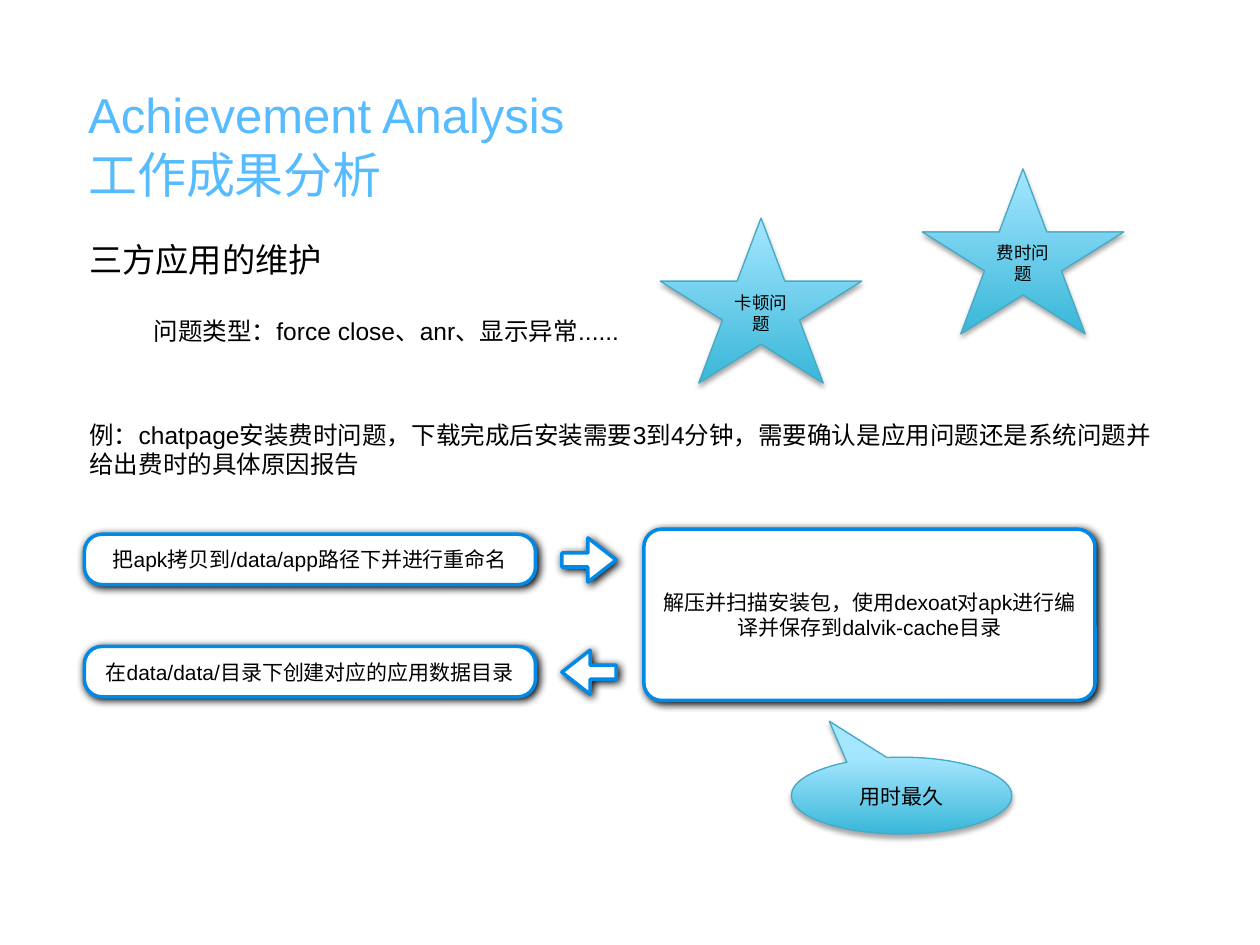
from lxml.etree import SubElement
from pptx import Presentation
from pptx.dml.color import RGBColor
from pptx.enum.shapes import MSO_SHAPE
from pptx.enum.text import MSO_ANCHOR, PP_ALIGN
from pptx.oxml.ns import qn
from pptx.util import Pt

COLORS = {"title": "57BBFF", "text": "000000", "edge": "0089E6", "fill": "FFFFFF",
          "dark": "39B7D8", "light": "A5E6FF", "rim": "46AAC4", "shade": "000000"}


def color(name):
    return RGBColor.from_string(COLORS[name])


def write(shape, text, size=12, tint="text", fonts=("Arial",), align=PP_ALIGN.LEFT,
          anchor=MSO_ANCHOR.TOP, wrap=True, lead=None):
    """Fill a shape with text, one paragraph per line; fonts go by paragraph."""
    frame = shape.text_frame
    frame.text = text
    frame.word_wrap = wrap
    frame.vertical_anchor = anchor
    frame.margin_left = frame.margin_right = Pt(3.6)
    frame.margin_top = frame.margin_bottom = Pt(3.6)
    for para, font in zip(frame.paragraphs, fonts):
        para.alignment = align
        if lead:
            para.line_spacing = Pt(lead)
        for run in para.runs:
            run.font.name = font
            run.font.size = Pt(size)
            run.font.color.rgb = color(tint)


deck = Presentation()
deck.slide_width, deck.slide_height = Pt(720), Pt(540)
slide = deck.slides.add_slide(deck.slide_layouts[5])
shapes = slide.shapes

# Title and plain text
title = shapes.title
title.left, title.top, title.width, title.height = Pt(46.8), Pt(44.6), Pt(455), Pt(77.8)
write(title, "Achievement Analysis\n工作成果分析", size=28, tint="title",
      fonts=("Arial", "Noto Sans CJK SC"), lead=34)

notes = [
    (47.5, 133.2, 141, 33, 19, False, "三方应用的维护"),
    (84.2, 177.1, 273.6, 45, 14, True, "问题类型：force close、anr、显示异常......"),
    (47.5, 236.2, 625.7, 47.5, 14, True,
     "例：chatpage安装费时问题，下载完成后安装需要3到4分钟，"
     "需要确认是应用问题还是系统问题并给出费时的具体原因报告"),
]
for left, top, width, height, size, wrap, text in notes:
    box = shapes.add_textbox(Pt(left), Pt(top), Pt(width), Pt(height))
    write(box, text, size=size, wrap=wrap)

# Stars, process steps, arrows and callout
STAR, STEP = MSO_SHAPE.STAR_5_POINT, MSO_SHAPE.ROUNDED_RECTANGLE
NEXT, BACK = MSO_SHAPE.RIGHT_ARROW, MSO_SHAPE.LEFT_ARROW
CALL = MSO_SHAPE.OVAL_CALLOUT
star, arrow = (0.191, 1.051, 1.106), (0.32, 0.64)
items = [
    (STAR, 377.3, 124.6, 115.2, 94.3, star, 10, "卡顿问题"),
    (STAR, 527, 96.5, 115.2, 94.3, star, 10, "费时问题"),
    (STEP, 48.2, 305.3, 257.8, 28.8, (0.349,), 12, "把apk拷贝到/data/app路径下并进行重命名"),
    (NEXT, 321.1, 307.4, 31, 25.2, arrow, 12, ""),
    (STEP, 367.9, 302.4, 257.8, 97.9, (0.104,), 12,
     "解压并扫描安装包，使用dexoat对apk进行编译并保存到dalvik-cache目录"),
    (BACK, 321.1, 371.5, 31, 25.2, arrow, 12, ""),
    (STEP, 48.2, 369.4, 257.8, 28.8, (0.349,), 12, "在data/data/目录下创建对应的应用数据目录"),
    (CALL, 452.2, 432.7, 126, 43.9, (-0.328, -0.969), 12, "用时最久"),
]
for kind, left, top, width, height, adjust, size, text in items:
    shape = shapes.add_shape(kind, Pt(left), Pt(top), Pt(width), Pt(height))
    for i, value in enumerate(adjust):
        shape.adjustments[i] = value
    if kind in (STAR, CALL):
        shape.fill.gradient()
        shape.fill.gradient_angle = 90
        for stop, name in zip(shape.fill.gradient_stops, ("dark", "light")):
            stop.color.rgb = color(name)
        edge, weight = "rim", 0.75
        alpha, blur, dist, angle = 35, 3, 1.8, 90
    else:
        shape.fill.solid()
        shape.fill.fore_color.rgb = color("fill")
        edge, weight = "edge", 2
        alpha, blur, dist, angle = 100, 5, 1.4, 45
    shape.line.color.rgb = color(edge)
    shape.line.width = Pt(weight)

    shape.shadow.inherit = False
    effects = shape.element.spPr.find(qn("a:effectLst"))
    shadow = SubElement(effects, qn("a:outerShdw"), blurRad=str(Pt(blur)),
                        dist=str(Pt(dist)), dir=str(angle * 60000), rotWithShape="0")
    shade = SubElement(shadow, qn("a:srgbClr"), val=COLORS["shade"])
    SubElement(shade, qn("a:alpha"), val=str(alpha * 1000))
    if text:
        write(shape, text, size=size, align=PP_ALIGN.CENTER, anchor=MSO_ANCHOR.MIDDLE)

deck.save("out.pptx")
